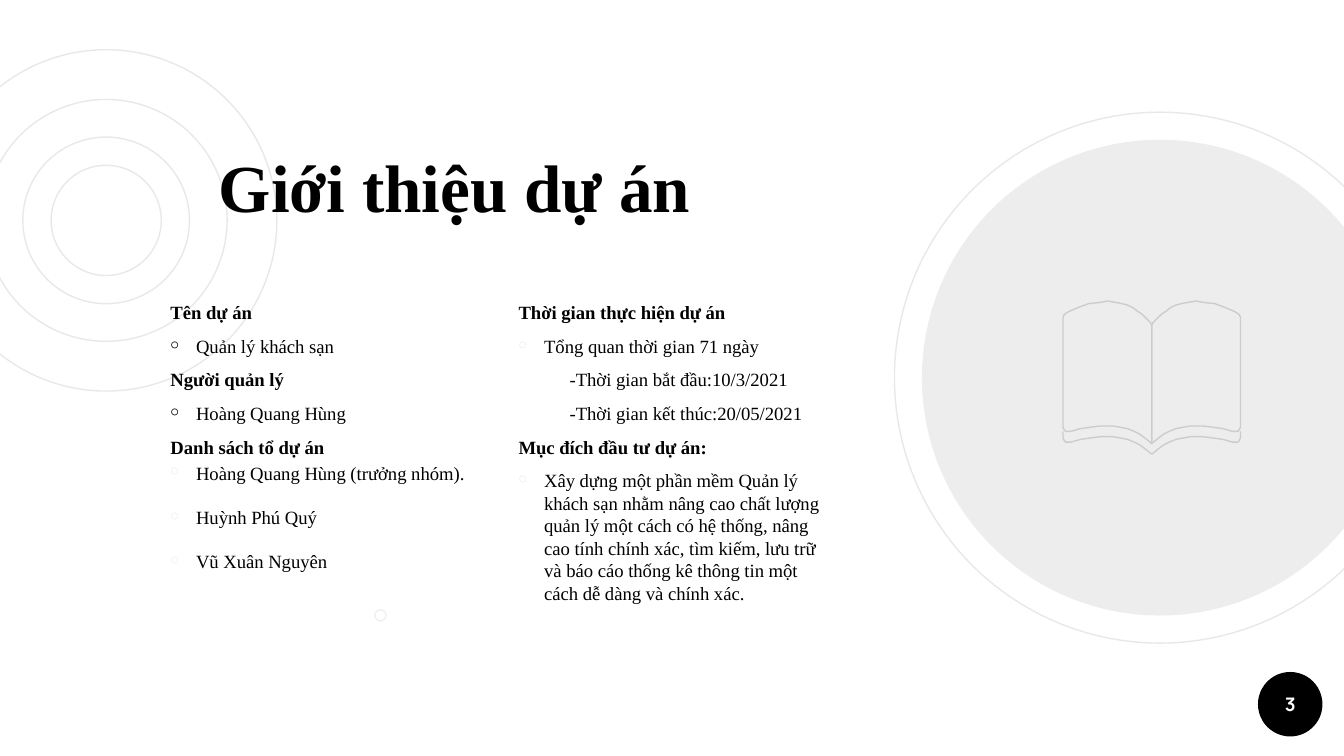
from dataclasses import dataclass

from lxml.etree import SubElement
from pptx import Presentation
from pptx.dml.color import RGBColor
from pptx.enum.shapes import MSO_SHAPE
from pptx.enum.text import MSO_ANCHOR, PP_ALIGN
from pptx.oxml.ns import qn
from pptx.util import Inches, Pt


@dataclass(frozen=True)
class Theme:
    ink: str = "000000"
    paper: str = "FFFFFF"
    ring: str = "E8E8E8"
    disc: str = "EDEDED"
    faint: str = "EFEFEF"
    icon: str = "CCCCCC"
    serif: str = "Times New Roman"
    sans: str = "Manrope"
    title: float = 36
    body: float = 10
    mark: float = 18
    number: float = 10
    line: float = 0.75


theme = Theme()
BULLET = "￮"


def style_shape(shape, fill=None, line=None):
    shape.shadow.inherit = False
    if fill:
        shape.fill.solid()
        shape.fill.fore_color.rgb = RGBColor.from_string(fill)
    else:
        shape.fill.background()
    if line:
        shape.line.color.rgb = RGBColor.from_string(line)
        shape.line.width = Pt(theme.line)
    else:
        shape.line.fill.background()


def add_run(paragraph, text, size, bold=False, color=theme.ink, font=theme.serif):
    run = paragraph.add_run()
    run.text = text
    run.font.name = font
    run.font.size = Pt(size)
    run.font.bold = bold
    run.font.color.rgb = RGBColor.from_string(color)


presentation = Presentation()
presentation.slide_width = Inches(10)
presentation.slide_height = Inches(10) * 9 // 16
slide = presentation.slides.add_slide(presentation.slide_layouts[6])
shapes = slide.shapes

# Circles: centre x, centre y, diameter, fill, line
circles = [(0.79, 1.64, diameter, None, theme.ring) for diameter in (2.54, 1.8, 1.24, 0.82)]
circles += [
    (8.63, 2.81, 3.95, None, theme.ring),
    (8.63, 2.81, 3.54, theme.disc, None),
    (9.6, 5.24, 0.48, theme.ink, None),
]
for center_x, center_y, diameter, fill, line in circles:
    circle = shapes.add_shape(
        MSO_SHAPE.OVAL,
        Inches(center_x - diameter / 2), Inches(center_y - diameter / 2),
        Inches(diameter), Inches(diameter),
    )
    style_shape(circle, fill, line)

# The last circle is the page number badge
badge = circle.text_frame
badge.word_wrap = False
badge.vertical_anchor = MSO_ANCHOR.MIDDLE
badge.paragraphs[0].alignment = PP_ALIGN.CENTER
add_run(badge.paragraphs[0], "3", theme.number, True, theme.paper, theme.sans)

# Text: each paragraph is a kind and its wording
title = [("title", "Giới thiệu dự án")]
schedule = [
    ("heading", "Thời gian thực hiện dự án"),
    ("faint item", "Tổng quan thời gian 71 ngày"),
    ("detail", "-Thời gian bắt đầu:10/3/2021"),
    ("detail", "-Thời gian kết thúc:20/05/2021"),
    ("heading", "Mục đích đầu tư dự án:"),
    ("faint item", "Xây dựng một phần mềm Quản lý khách sạn nhằm nâng cao chất lượng "
                   "quản lý một cách có hệ thống, nâng cao tính chính xác, tìm kiếm, lưu trữ "
                   "và báo cáo thống kê thông tin một cách dễ dàng và chính xác."),
]
# The closing "mark" shows only its bullet, held by a no-break space
project = [
    ("heading", "Tên dự án"),
    ("item", "Quản lý khách sạn"),
    ("heading", "Người quản lý"),
    ("item", "Hoàng Quang Hùng"),
    ("heading", "Danh sách tổ dự án"),
    ("member", "Hoàng Quang Hùng (trưởng nhóm)."),
    ("member", "Huỳnh Phú Quý"),
    ("member", "Vũ Xuân Nguyên"),
    ("mark", " "),
]
bullet_colors = {
    "item": theme.ink, "faint item": theme.faint, "member": theme.faint, "mark": theme.faint,
}
# Left margin and first-line indent
indents = {kind: (0.19, -0.19) for kind in bullet_colors}
indents.update({"detail": (0.38, 0), "mark": (1.5, 0)})
sizes = {"title": theme.title, "mark": theme.mark}

for left, top, width, height, anchor, content in [
    (1.53, 1.03, 5.71, 0.75, MSO_ANCHOR.BOTTOM, title),
    (3.76, 2.14, 2.45, 2.46, MSO_ANCHOR.TOP, schedule),
    (1.17, 2.14, 2.45, 2.46, MSO_ANCHOR.TOP, project),
]:
    box = shapes.add_textbox(Inches(left), Inches(top), Inches(width), Inches(height))
    frame = box.text_frame
    frame.word_wrap = True
    frame.vertical_anchor = anchor
    frame.margin_left = frame.margin_right = Inches(0.1)
    frame.margin_top = frame.margin_bottom = Inches(0.1)
    for index, (kind, text) in enumerate(content):
        paragraph = frame.add_paragraph() if index else frame.paragraphs[0]
        if kind in ("member", "mark"):
            paragraph.line_spacing = 1.15
            paragraph.space_after = Pt(10)
        elif index:
            paragraph.space_before = Pt(6)
        properties = paragraph._p.get_or_add_pPr()
        if kind in indents:
            margin, indent = indents[kind]
            properties.set("marL", str(Inches(margin)))
            properties.set("indent", str(Inches(indent)))
        if kind in bullet_colors:
            bullet_color = SubElement(properties, qn("a:buClr"))
            SubElement(bullet_color, qn("a:srgbClr"), val=bullet_colors[kind])
            SubElement(properties, qn("a:buFont"), typeface=theme.serif)
            SubElement(properties, qn("a:buChar"), char=BULLET)
        add_run(paragraph, text, sizes.get(kind, theme.body), kind in ("title", "heading"))

# Open book: distances from the spine and heights, mirrored for the two pages
SPINE = 8.57
lower_curve = [
    (0, 3.3), (0.05, 3.26), (0.09, 3.23), (0.13, 3.21), (0.18, 3.19), (0.23, 3.18),
    (0.29, 3.17), (0.33, 3.17), (0.38, 3.17), (0.46, 3.18), (0.53, 3.19), (0.6, 3.21),
    (0.62, 3.21), (0.64, 3.21), (0.65, 3.2), (0.66, 3.18), (0.66, 3.17),
]
upper_curve = [
    (0.66, 2.38), (0.66, 2.36), (0.65, 2.34), (0.62, 2.32), (0.55, 2.29), (0.47, 2.26),
    (0.38, 2.25), (0.33, 2.24), (0.27, 2.25), (0.22, 2.26), (0.18, 2.27), (0.14, 2.29),
    (0.1, 2.32), (0.07, 2.34), (0.03, 2.38), (0.01, 2.4), (0, 2.42),
]
cover_edge = [(distance, y + 0.08) for distance, y in lower_curve] + [(0.66, 3.21)]
for outline, closed in [(cover_edge, False), (lower_curve + upper_curve, True)]:
    for side in (-1, 1):
        points = [(Inches(SPINE + side * distance), Inches(y)) for distance, y in outline]
        builder = shapes.build_freeform(*points[0])
        builder.add_line_segments(points[1:], close=closed)
        style_shape(builder.convert_to_shape(), line=theme.icon)

presentation.save("out.pptx")
